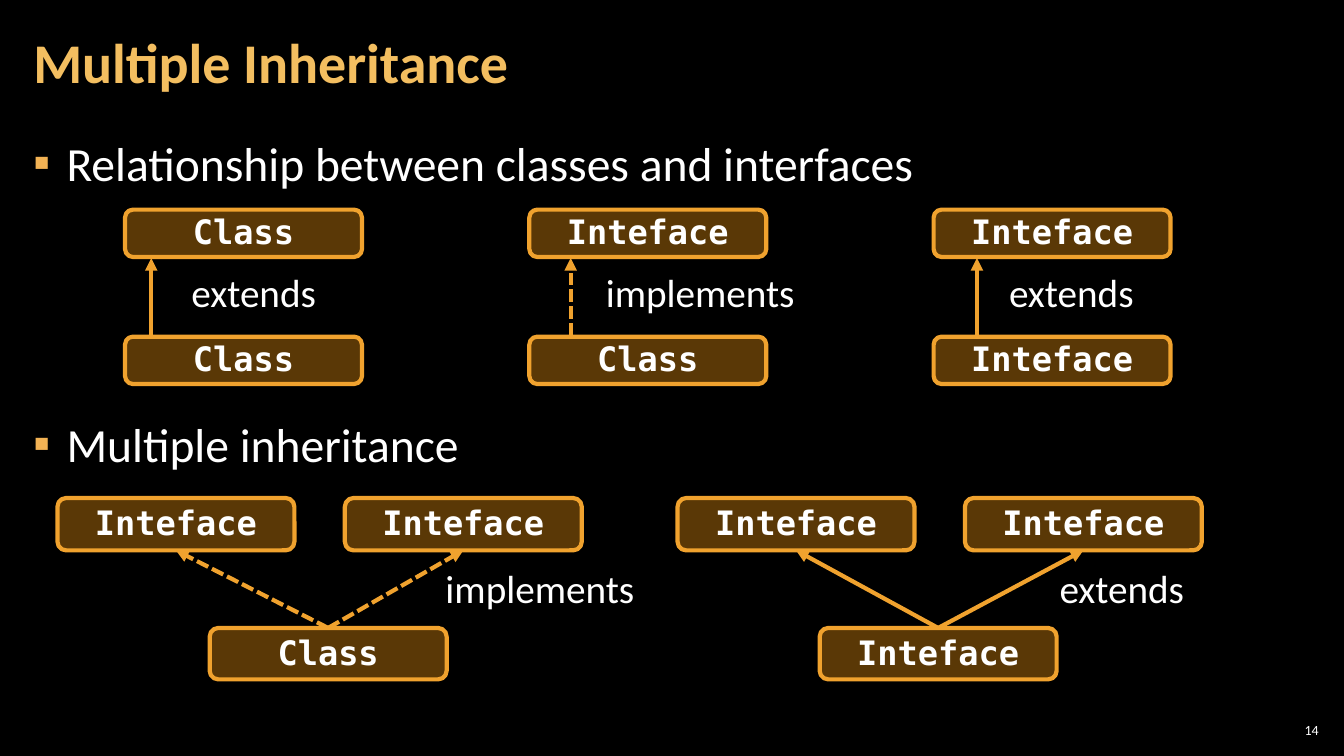
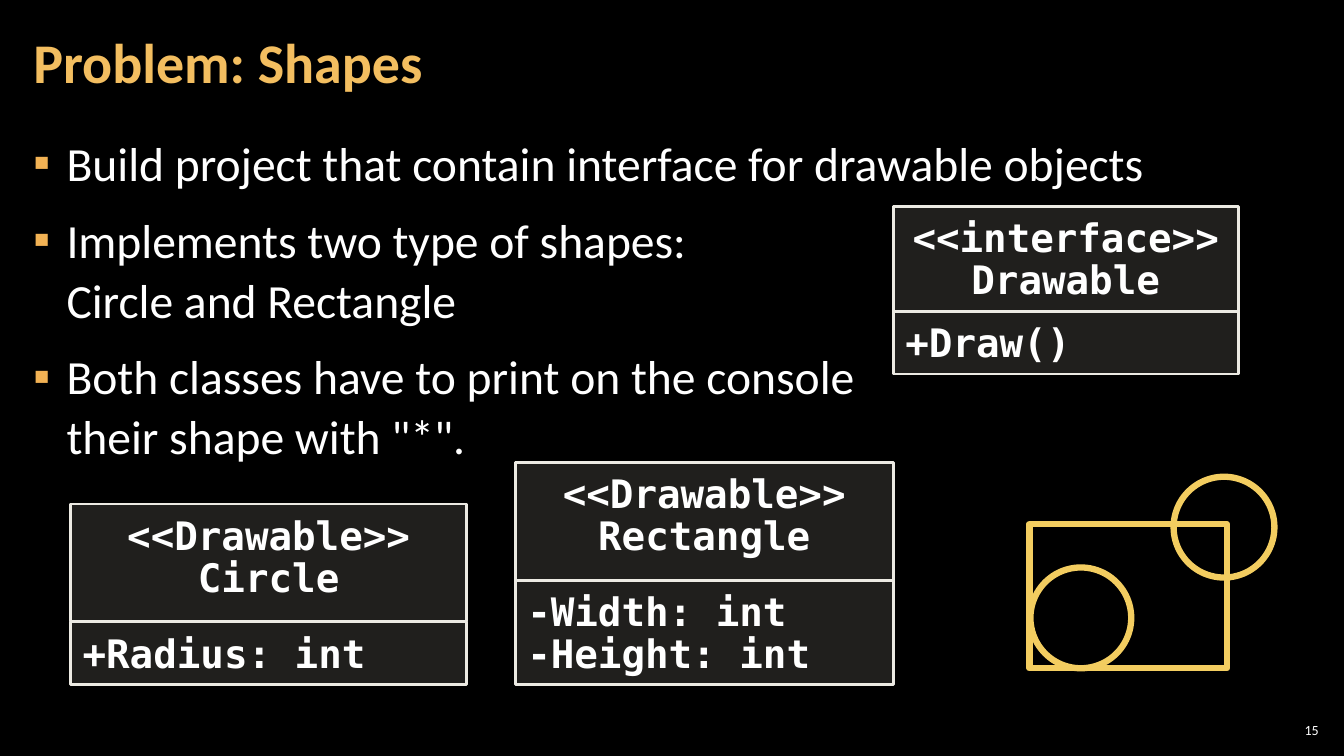
"""Two slides on interfaces and multiple inheritance."""
from lxml.etree import SubElement
from pptx import Presentation
from pptx.dml.color import RGBColor
from pptx.enum.dml import MSO_LINE
from pptx.enum.shapes import MSO_CONNECTOR, MSO_SHAPE
from pptx.enum.text import MSO_ANCHOR, MSO_AUTO_SIZE, PP_ALIGN
from pptx.oxml.ns import qn
from pptx.util import Inches, Pt

BLACK = RGBColor(0x00, 0x00, 0x00)
WHITE = RGBColor(0xFF, 0xFF, 0xFF)
TITLE_GOLD = RGBColor(0xF3, 0xBE, 0x60)
BULLET_GOLD = RGBColor(0xF2, 0xB2, 0x54)
ORANGE = RGBColor(0xF0, 0xA2, 0x2E)
BROWN = RGBColor(0xC8, 0x7D, 0x0E)
SAND = RGBColor(0xD9, 0xD5, 0xC7)
IVORY = RGBColor(0xEC, 0xEA, 0xE3)
YELLOW = RGBColor(0xF3, 0xCD, 0x60)

TEXT_FONT = "Calibri"
CODE_FONT = "DejaVu Sans Mono"
BOX_WIDTH = 2.35


def place(shape, left, top, width, height):
    """Move a shape to a box given in inches."""
    shape.left, shape.top = Inches(left), Inches(top)
    shape.width, shape.height = Inches(width), Inches(height)


def set_insets(frame, horizontal, vertical):
    """Set the inner margins of a text frame in inches."""
    frame.margin_left = frame.margin_right = Inches(horizontal)
    frame.margin_top = frame.margin_bottom = Inches(vertical)


def style_font(font, size, color=WHITE, name=TEXT_FONT, bold=False):
    """Set the size, colour, typeface and weight of a font."""
    font.name = name
    font.size = Pt(size)
    font.bold = bold
    font.color.rgb = color


def add_run(paragraph, text, size, **style):
    """Append one formatted run to a paragraph."""
    run = paragraph.add_run()
    run.text = text
    style_font(run.font, size, **style)


def add_bullet(paragraph):
    """Give a paragraph a hanging gold square bullet."""
    properties = paragraph._p.get_or_add_pPr()
    properties.set("marL", str(Inches(0.33)))
    properties.set("indent", str(-Inches(0.33)))
    color = SubElement(properties, qn("a:buClr"))
    SubElement(color, qn("a:srgbClr"), val=str(BULLET_GOLD))
    SubElement(properties, qn("a:buFont"), typeface=TEXT_FONT)
    SubElement(properties, qn("a:buChar"), char="▪")


def fill_title(title, text):
    """Place and write the slide title."""
    place(title, 0.21, 0.04, 10.47, 1.21)
    frame = title.text_frame
    set_insets(frame, 0.12, 0.04)
    frame.auto_size = MSO_AUTO_SIZE.NONE
    frame.vertical_anchor = MSO_ANCHOR.MIDDLE
    paragraph = frame.paragraphs[0]
    paragraph.alignment = PP_ALIGN.LEFT
    paragraph.line_spacing = 0.9
    add_run(paragraph, text, 40, color=TITLE_GOLD, bold=True)


def fill_body(body, bullets, space_before):
    """Write bullets, each a tuple of lines, into the body placeholder."""
    place(body, 0.21, 1.26, 12.91, 6.09)
    frame = body.text_frame
    set_insets(frame, 0.12, 0.04)
    frame.auto_size = MSO_AUTO_SIZE.NONE
    frame.vertical_anchor = MSO_ANCHOR.TOP
    for index, lines in enumerate(bullets):
        paragraph = frame.add_paragraph() if index else frame.paragraphs[0]
        paragraph.line_spacing = 1.05
        paragraph.space_before = Pt(space_before if index else 0)
        paragraph.space_after = Pt(6)
        add_bullet(paragraph)
        for line_index, line in enumerate(lines):
            if line_index:
                paragraph.add_line_break()
            add_run(paragraph, line, 34)
        style_font(paragraph.font, 34)


def add_slide_number(slide, number):
    """Write the slide number in the bottom right corner."""
    box = slide.shapes.add_textbox(Inches(12.65), Inches(7.14), Inches(0.47), Inches(0.21))
    frame = box.text_frame
    frame.word_wrap = True
    frame.vertical_anchor = MSO_ANCHOR.MIDDLE
    set_insets(frame, 0.04, 0.04)
    frame.paragraphs[0].alignment = PP_ALIGN.RIGHT
    add_run(frame.paragraphs[0], str(number), 10)


def add_content_slide(presentation, number, title, bullets, space_before=6):
    """Add a slide with title, bullets and number."""
    slide = presentation.slides.add_slide(presentation.slide_layouts[1])
    fill_title(slide.shapes.title, title)
    fill_body(slide.placeholders[1], bullets, space_before)
    add_slide_number(slide, number)
    return slide


def add_outline(shapes, kind, left, top, width, height, color, line_width):
    """Add an unfilled preset shape with a coloured line."""
    shape = shapes.add_shape(kind, Inches(left), Inches(top), Inches(width), Inches(height))
    shape.shadow.inherit = False
    shape.fill.background()
    shape.line.color.rgb = color
    shape.line.width = Pt(line_width)
    return shape


def fill_translucent(shape, color, percent):
    """Fill a shape with a colour at the given opacity."""
    shape.fill.solid()
    shape.fill.fore_color.rgb = color
    color_element = shape.element.spPr.find(qn("a:solidFill"))[0]
    SubElement(color_element, qn("a:alpha"), val=str(percent * 1000))


def add_type_box(slide, text, left, top, height):
    """Add a rounded box naming a class or interface."""
    box = add_outline(slide.shapes, MSO_SHAPE.ROUNDED_RECTANGLE,
                      left, top, BOX_WIDTH, height, ORANGE, 3)
    fill_translucent(box, BROWN, 45)
    frame = box.text_frame
    frame.word_wrap = False
    frame.vertical_anchor = MSO_ANCHOR.MIDDLE
    paragraph = frame.paragraphs[0]
    paragraph.alignment = PP_ALIGN.CENTER
    paragraph.line_spacing = 0.95
    add_run(paragraph, text, 24, name=CODE_FONT, bold=True)
    return box


def add_arrow(slide, start, end, dashed):
    """Add an orange arrow between two points in inches."""
    arrow = slide.shapes.add_connector(
        MSO_CONNECTOR.STRAIGHT, *[Inches(value) for value in start + end])
    arrow.line.color.rgb = ORANGE
    arrow.line.width = Pt(3)
    if dashed:
        arrow.line.dash_style = MSO_LINE.SQUARE_DOT
    properties = arrow.element.spPr
    SubElement(properties.find(qn("a:ln")), qn("a:tailEnd"), type="triangle")
    SubElement(properties, qn("a:effectLst"))
    return arrow


def add_relation_label(slide, text, left, top):
    """Add the word that names a relation."""
    width = 2.09 if text == "implements" else 1.45
    box = slide.shapes.add_textbox(Inches(left), Inches(top), Inches(width), Inches(0.57))
    box.text_frame.word_wrap = False
    box.text_frame.auto_size = MSO_AUTO_SIZE.SHAPE_TO_FIT_TEXT
    add_run(box.text_frame.paragraphs[0], text, 28)


def add_single_relation(slide, left, top, parent, child, relation, arrow_offset, label_offset):
    """Draw a child below its parent, joined by a labelled arrow."""
    add_type_box(slide, parent, left, top, 0.47)
    add_type_box(slide, child, left, top + 1.26, 0.47)
    arrow_left = left + arrow_offset
    add_arrow(slide, (arrow_left, top + 1.25), (arrow_left, top + 0.48), relation == "implements")
    add_relation_label(slide, relation, left + label_offset, top + 0.53)


def add_double_relation(slide, left, top, child, relation, child_offset, label_offset):
    """Draw a child below two interfaces, joined by two arrows."""
    child_box = add_type_box(slide, child, left + child_offset, top + 1.29, 0.51)
    for parent_left in (left, left + 2.85):
        parent_box = add_type_box(slide, "Inteface", parent_left, top, 0.52)
        arrow = add_arrow(slide, (left, top), (left, top), relation == "implements")
        arrow.begin_connect(child_box, 0)
        arrow.end_connect(parent_box, 2)
    add_relation_label(slide, relation, left + label_offset, top + 0.61)


def add_card_section(shapes, lines, left, top, width, height, alignment):
    """Add one compartment of a class card."""
    section = add_outline(shapes, MSO_SHAPE.RECTANGLE, left, top, width, height, IVORY, 2)
    fill_translucent(section, SAND, 15)
    frame = section.text_frame
    frame.word_wrap = True
    frame.vertical_anchor = MSO_ANCHOR.TOP
    set_insets(frame, 0.12, 0.12)
    for index, line in enumerate(lines):
        paragraph = frame.add_paragraph() if index else frame.paragraphs[0]
        paragraph.alignment = alignment
        paragraph.line_spacing = Pt(30)
        add_run(paragraph, line, 28, name=CODE_FONT, bold=True)


def add_class_card(slide, left, top, width, header_height, header, members):
    """Draw a grouped card with a header above its members."""
    shapes = slide.shapes.add_group_shape().shapes
    members_height = 0.21 + 0.41 * len(members)
    add_card_section(shapes, header, left, top, width, header_height, PP_ALIGN.CENTER)
    add_card_section(shapes, members, left, top + header_height, width,
                     members_height, PP_ALIGN.LEFT)


def add_shapes_drawing(slide, left, top):
    """Draw a rectangle with one circle inside and one at its corner."""
    add_outline(slide.shapes, MSO_SHAPE.RECTANGLE, left, top, 1.96, 1.43, YELLOW, 4.5)
    for across, down in ((1.43, -0.47), (0.01, 0.43)):
        add_outline(slide.shapes, MSO_SHAPE.OVAL, left + across, top + down, 1, 1, YELLOW, 4.5)


def build_inheritance_slide(presentation):
    """Build the slide on relations between classes and interfaces."""
    bullets = [("Relationship between classes and interfaces",), ("Multiple inheritance",)]
    slide = add_content_slide(presentation, 14, "Multiple Inheritance", bullets, space_before=152)
    relations = [
        ("Class", "Class", "extends", 0.26, 0.56),
        ("Inteface", "Class", "implements", 0.41, 0.66),
        ("Inteface", "Inteface", "extends", 0.43, 0.65),
    ]
    for column, relation in enumerate(relations):
        add_single_relation(slide, 1.24 + 4.01 * column, 2.08, *relation)
    add_double_relation(slide, 0.57, 4.94, "Class", "implements", 1.51, 3.75)
    add_double_relation(slide, 6.72, 4.94, "Inteface", "extends", 1.41, 3.69)


def build_problem_slide(presentation):
    """Build the slide with the drawable shapes exercise."""
    bullets = [
        ("Build project that contain interface for drawable objects",),
        ("Implements two type of shapes:", "Circle and Rectangle"),
        ("Both classes have to print on the console", 'their shape with "*".'),
    ]
    slide = add_content_slide(presentation, 15, "Problem: Shapes", bullets)
    add_class_card(slide, 0.7, 5, 3.93, 1.17, ["<<Drawable>>", "Circle"], ["+Radius: int"])
    add_class_card(slide, 5.11, 4.59, 3.75, 1.17, ["<<Drawable>>", "Rectangle"],
                   ["-Width: int", "-Height: int"])
    add_class_card(slide, 8.86, 2.05, 3.42, 1.04, ["<<interface>>", "Drawable"], ["+Draw()"])
    add_shapes_drawing(slide, 10.21, 5.2)


def main():
    """Build and save the presentation."""
    presentation = Presentation()
    presentation.slide_width = Inches(13.33)
    presentation.slide_height = Inches(7.5)
    background = presentation.slide_master.background.fill
    background.solid()
    background.fore_color.rgb = BLACK
    build_inheritance_slide(presentation)
    build_problem_slide(presentation)
    presentation.save("out.pptx")


if __name__ == "__main__":
    main()
